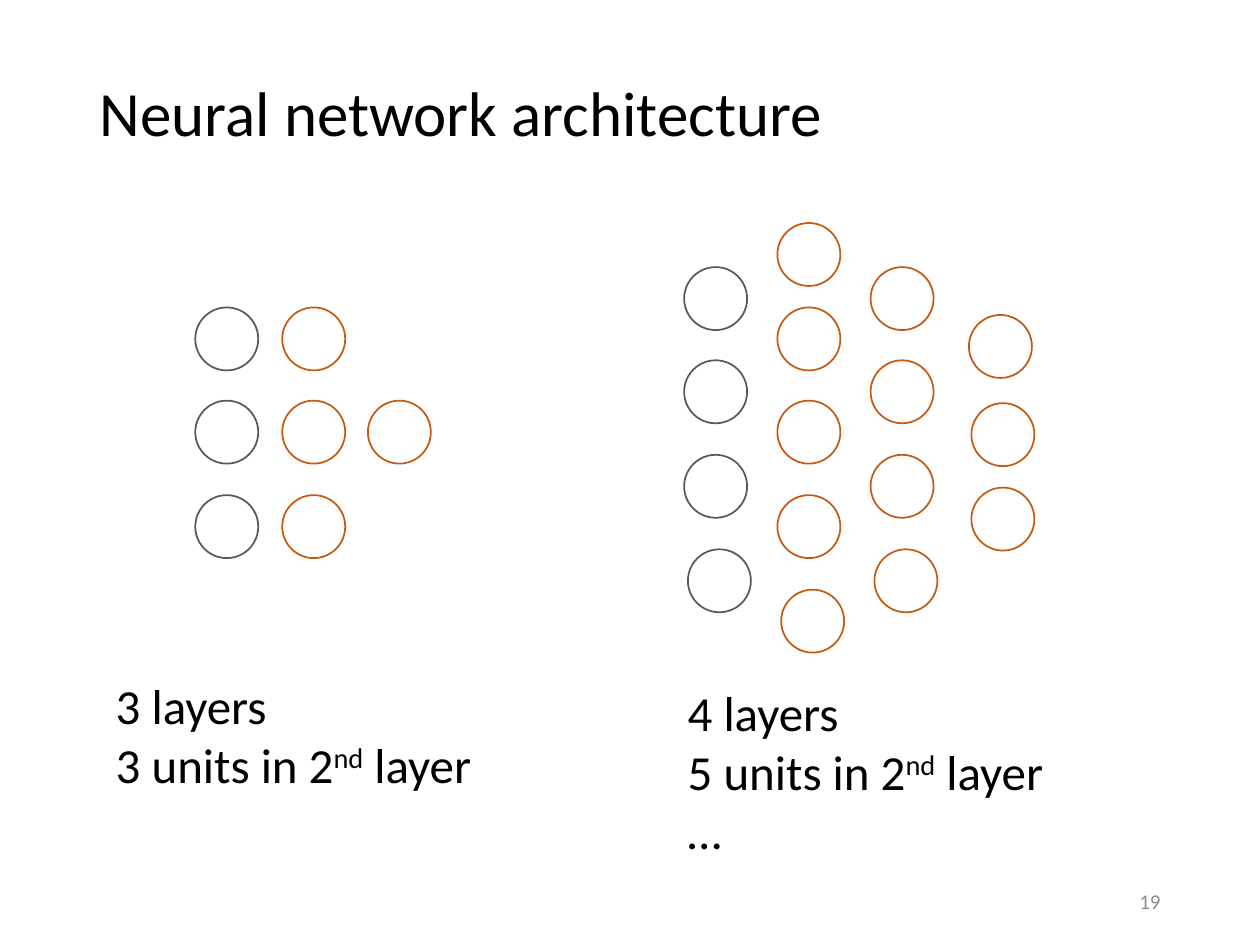
from pptx import Presentation
from pptx.dml.color import RGBColor
from pptx.enum.shapes import MSO_SHAPE
from pptx.enum.text import MSO_ANCHOR, MSO_AUTO_SIZE, PP_ALIGN
from pptx.util import Inches, Pt

OVAL = MSO_SHAPE.OVAL
MIDDLE, TOP = MSO_ANCHOR.MIDDLE, MSO_ANCHOR.TOP
LEFT, RIGHT = PP_ALIGN.LEFT, PP_ALIGN.RIGHT
NO_AUTOFIT = MSO_AUTO_SIZE.NONE

BLACK = RGBColor(0x00, 0x00, 0x00)
GRAY = RGBColor(0x59, 0x59, 0x59)
ORANGE = RGBColor(0xC5, 0x5A, 0x11)
PALE_GRAY = RGBColor(0x8C, 0x8C, 0x8C)

TITLE = "Neural network architecture"
PAGE_NUMBER = "19"
UNIT_SIZE = 0.5

# Each layer is (colour, left-top corners of its units).
SMALL_ROWS = (2.44, 3.18, 3.93)
LARGE_ROWS = (2.12, 2.86, 3.61)
LAYERS = [
    (GRAY, [(1.55, top) for top in SMALL_ROWS]),
    (ORANGE, [(2.24, top) for top in SMALL_ROWS]),
    (ORANGE, [(2.92, SMALL_ROWS[1])]),
    (GRAY, [(5.43, top) for top in LARGE_ROWS] + [(5.46, 4.36)]),
    (ORANGE, [(6.17, top) for top in (1.77, *SMALL_ROWS)] + [(6.2, 4.68)]),
    (ORANGE, [(6.91, top) for top in LARGE_ROWS] + [(6.94, 4.36)]),
    (ORANGE, [(7.69, 2.5), (7.71, 3.2), (7.71, 3.87)]),
]

# Each line is a list of runs; the run "nd" is raised.
ORDINAL = "nd"
CAPTIONS = [
    ((0.82, 5.31, 3.09, 1.04),
     [["3 layers"], ["3 units in 2", ORDINAL, " layer"]]),
    ((5.36, 5.37, 3.06, 1.51),
     [["4 layers"], ["5 units in 2", ORDINAL, " layer"], ["…"]]),
]


def write_lines(shape, lines, size, color, anchor=TOP, align=LEFT, wrap=True):
    frame = shape.text_frame
    frame.word_wrap = wrap
    frame.auto_size = NO_AUTOFIT
    frame.vertical_anchor = anchor
    font_format = {"name": "Calibri", "size": Pt(size)}
    for index, runs in enumerate(lines):
        paragraph = frame.paragraphs[0] if index == 0 else frame.add_paragraph()
        paragraph.alignment = align
        for text in runs:
            run = paragraph.add_run()
            run.text = text
            for name, value in font_format.items():
                setattr(run.font, name, value)
            run.font.color.rgb = color
            if text == ORDINAL:
                run._r.get_or_add_rPr().set("baseline", "30000")


def add_unit(slide, left, top, color):
    unit = slide.shapes.add_shape(
        OVAL, Inches(left), Inches(top), Inches(UNIT_SIZE), Inches(UNIT_SIZE))
    unit.shadow.inherit = False
    unit.fill.background()
    unit.line.color.rgb = color
    unit.line.width = Pt(1)


def main():
    presentation = Presentation()
    presentation.slide_width, presentation.slide_height = Inches(10), Inches(7.5)
    slide = presentation.slides.add_slide(presentation.slide_layouts[5])

    title = slide.shapes.title
    title.left, title.top = Inches(0.69), Inches(0.4)
    title.width, title.height = Inches(8.62), Inches(1.04)
    write_lines(title, [[TITLE]], 36, BLACK, anchor=MIDDLE)
    title.text_frame.paragraphs[0].line_spacing = 0.9

    for color, units in LAYERS:
        for left, top in units:
            add_unit(slide, left, top, color)

    for box, lines in CAPTIONS:
        caption = slide.shapes.add_textbox(*map(Inches, box))
        write_lines(caption, lines, 28, BLACK, wrap=False)

    number = slide.shapes.add_textbox(*map(Inches, (7.06, 6.95, 2.25, 0.4)))
    write_lines(number, [[PAGE_NUMBER]], 12, PALE_GRAY, MIDDLE, RIGHT)

    presentation.save("out.pptx")


if __name__ == "__main__":
    main()
